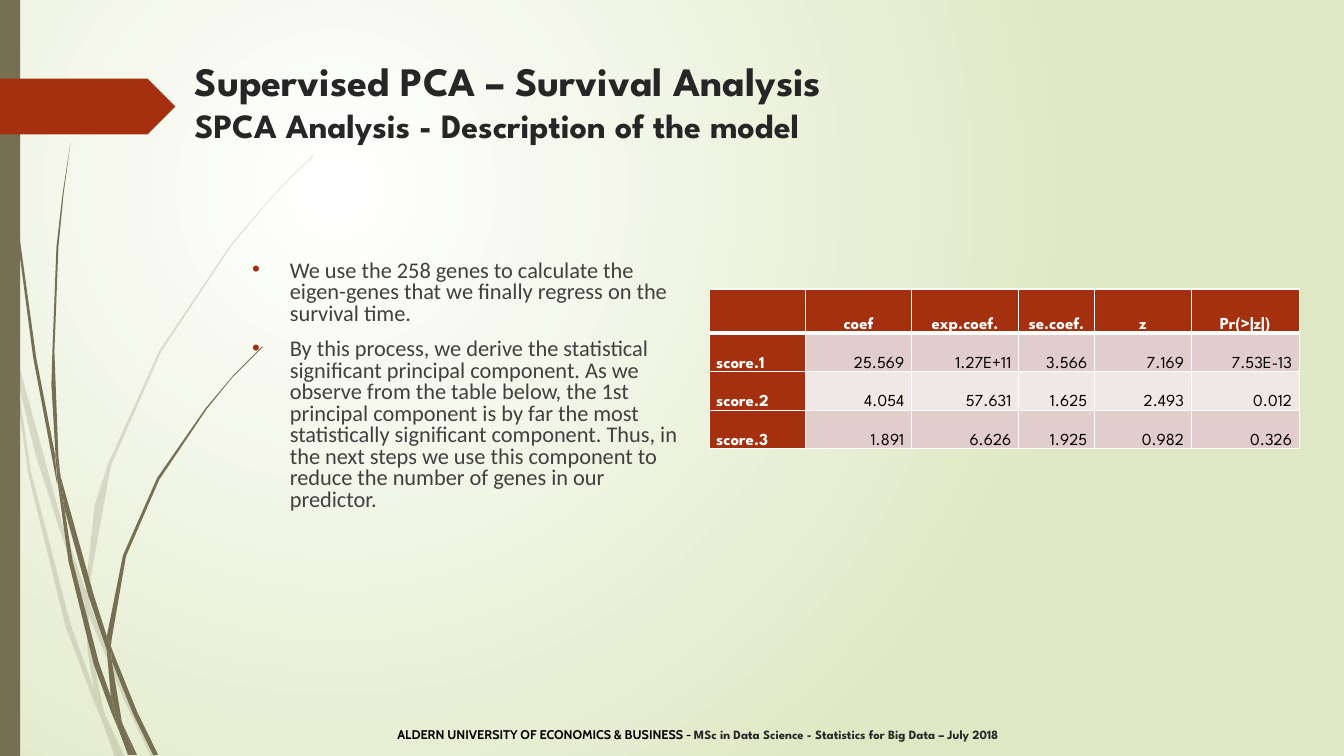
from dataclasses import dataclass

from lxml.etree import SubElement
from pptx import Presentation
from pptx.dml.color import RGBColor
from pptx.enum.shapes import MSO_SHAPE
from pptx.enum.text import MSO_ANCHOR, MSO_AUTO_SIZE, PP_ALIGN
from pptx.oxml.ns import qn
from pptx.util import Cm, Pt


@dataclass(frozen=True)
class Theme:
    olive: str = "766F54"
    rust: str = "A53010"
    white: str = "FFFFFF"
    lime: str = "DFE8C4"
    heading: str = "262626"
    body: str = "404040"
    black: str = "000000"
    bands: tuple = ("E1CDCC", "F0E8E7")
    display: str = "League Spartan"
    text: str = "Calibri"
    institution: str = "Cabin"
    title_size: float = 28.8
    subtitle_size: float = 24.3
    body_size: float = 16
    table_size: float = 12
    footer_size: float = 9


def assign(target, values):
    for name, value in values.items():
        setattr(target, name, value)


def place(left, top, width, height):
    return dict(left=Cm(left), top=Cm(top), width=Cm(width), height=Cm(height))


class SlideWriter:
    def __init__(self, slide, theme):
        self.slide = slide
        self.theme = theme

    def background(self):
        fill = self.slide.background.fill
        fill.gradient()
        for stop, color in zip(fill.gradient_stops, (self.theme.white, self.theme.lime)):
            stop.color.rgb = RGBColor.from_string(color)
        gradient = self.slide.element.find(".//" + qn("a:gradFill"))
        gradient.remove(gradient.find(qn("a:lin")))
        circle = SubElement(gradient, qn("a:path"), path="circle")
        SubElement(circle, qn("a:fillToRect"), l="50000", t="50000", r="100000", b="100000")

    def paint(self, shape, color, opacity=None):
        shape.shadow.inherit = False
        shape.fill.solid()
        shape.fill.fore_color.rgb = RGBColor.from_string(color)
        shape.line.fill.background()
        if opacity:
            tint = shape.element.spPr.find(qn("a:solidFill"))[0]
            SubElement(tint, qn("a:alpha"), val=str(opacity * 1000))

    def blade(self, corners, opacity=None):
        first, *rest = corners
        outline = self.slide.shapes.build_freeform(*first, scale=Cm(2.54) / 100)
        outline.add_line_segments(rest, close=True)
        self.paint(outline.convert_to_shape(), self.theme.olive, opacity)

    def block(self, kind, box, color):
        self.paint(self.slide.shapes.add_shape(kind, *box.values()), color)

    def run(self, paragraph, text, size, font, color, bold=False):
        run = paragraph.add_run()
        run.text = text
        assign(run.font, dict(size=Pt(size), name=font, bold=bold))
        run.font.color.rgb = RGBColor.from_string(color)

    def title(self, box, lines):
        heading = self.slide.shapes.title
        assign(heading, box)
        assign(heading.text_frame, dict(
            word_wrap=True, auto_size=MSO_AUTO_SIZE.NONE, vertical_anchor=MSO_ANCHOR.MIDDLE))
        paragraph = heading.text_frame.paragraphs[0]
        paragraph.alignment = PP_ALIGN.LEFT
        for index, (text, size) in enumerate(lines):
            if index:
                paragraph.add_line_break()
            self.run(paragraph, text, size, self.theme.display, self.theme.heading, True)

    def bullets(self, box, items):
        body = self.slide.placeholders[1]
        assign(body, box)
        frame = body.text_frame
        assign(frame, dict(
            word_wrap=True, auto_size=MSO_AUTO_SIZE.NONE, vertical_anchor=MSO_ANCHOR.TOP))
        for index, item in enumerate(items):
            paragraph = frame.add_paragraph() if index else frame.paragraphs[0]
            assign(paragraph, dict(line_spacing=0.8, space_before=Pt(10)))
            self.run(paragraph, item, self.theme.body_size, self.theme.text, self.theme.body)
            properties = paragraph._p.get_or_add_pPr()
            properties.set("marL", str(Cm(0.95)))
            properties.set("indent", str(-Cm(0.95)))
            tint = SubElement(properties, qn("a:buClr"))
            SubElement(tint, qn("a:srgbClr"), val=self.theme.rust)
            SubElement(properties, qn("a:buFont"), typeface="Arial")
            SubElement(properties, qn("a:buChar"), char="•")

    def footer(self, box, parts):
        frame = self.slide.shapes.add_textbox(*box.values()).text_frame
        frame.word_wrap = True
        paragraph = frame.paragraphs[0]
        paragraph.alignment = PP_ALIGN.CENTER
        for text, font, color in parts:
            self.run(paragraph, text, self.theme.footer_size, font, color, True)

    def borders(self, cell, bottom):
        properties = cell._tc.get_or_add_tcPr()
        for side, width in dict(lnL=1, lnR=1, lnT=1, lnB=bottom).items():
            line = SubElement(properties, qn("a:" + side), w=str(Pt(width)))
            SubElement(SubElement(line, qn("a:solidFill")), qn("a:srgbClr"), val=self.theme.white)

    def table(self, box, widths, heights, rows):
        grid = self.slide.shapes.add_table(len(rows), len(widths), *box.values()).table
        grid.horz_banding = False
        for column, width in zip(grid.columns, widths):
            column.width = Cm(width)
        for row, height in zip(grid.rows, heights):
            row.height = Cm(height)
        for r, values in enumerate(rows):
            for c, value in enumerate(values):
                cell = grid.cell(r, c)
                label = r == 0 or c == 0
                assign(cell, dict(
                    vertical_anchor=MSO_ANCHOR.BOTTOM, margin_left=Cm(0.18),
                    margin_right=Cm(0.18), margin_top=0, margin_bottom=0))
                self.borders(cell, 1 if r else 3)
                cell.fill.solid()
                cell.fill.fore_color.rgb = RGBColor.from_string(
                    self.theme.rust if label else self.theme.bands[(r - 1) % 2])
                if value:
                    paragraph = cell.text_frame.paragraphs[0]
                    paragraph.alignment = (
                        PP_ALIGN.CENTER if r == 0 else PP_ALIGN.RIGHT if c else PP_ALIGN.LEFT)
                    self.run(paragraph, value, self.theme.table_size, self.theme.display,
                             self.theme.white if label else self.theme.black, label)


PALE_BLADES = [
    [(11, 350), (9, 322), (0, 282), (0, 299), (10, 344)],
    [(58, 522), (84, 599), (85, 586), (62, 520), (14, 345), (17, 376), (35, 450)],
    [(92, 607), (88, 596), (88, 610), (123, 694), (150, 751), (155, 751), (127, 692)],
    [(119, 751), (124, 751), (105, 711)],
    [(93, 683), (70, 619), (31, 469), (17, 376), (11, 350), (28, 470), (65, 621), (92, 693),
     (101, 714), (99, 707)],
    [(84, 599), (87, 646), (93, 683), (96, 692), (105, 711), (103, 706), (91, 646), (88, 610),
     (88, 608)],
    [(88, 584), (110, 462), (160, 349), (229, 245), (268, 198), (290, 175), (312, 154),
     (312, 153), (289, 175), (268, 197), (228, 244), (158, 348), (107, 461), (94, 501),
     (85, 584), (85, 586), (88, 596)],
    [(101, 714), (114, 751), (119, 751)],
    [(88, 608), (88, 596), (85, 586), (84, 599)],
    [(96, 692), (93, 683), (99, 707), (101, 714), (119, 751), (105, 711)],
]
DARK_BLADES = [
    [(7, 110), (17, 233), (33, 355), (56, 477), (57, 481), (55, 457), (55, 453), (36, 355),
     (19, 232), (8, 109), (5, 48), (4, 0), (3, 0), (4, 48)],
    [(88, 592), (106, 645), (106, 631), (93, 590), (60, 472), (64, 505)],
    [(113, 649), (110, 641), (111, 656), (132, 708), (152, 749), (157, 749), (136, 706)],
    [(110, 691), (98, 657), (72, 556), (64, 505), (57, 477), (68, 557), (93, 659), (111, 708),
     (117, 722), (116, 717)],
    [(60, 472), (58, 453), (54, 349), (58, 245), (63, 193), (70, 141), (62, 193), (56, 245),
     (52, 349), (51, 382), (55, 449)],
    [(133, 749), (136, 749), (122, 719)],
    [(57, 477), (64, 505), (60, 472), (55, 449), (55, 453)],
    [(111, 633), (125, 552), (158, 476), (205, 406), (231, 374), (261, 344), (260, 344),
     (231, 373), (204, 405), (156, 474), (122, 551), (106, 631), (110, 641)],
    [(117, 722), (127, 749), (131, 749)],
    [(106, 645), (110, 691), (116, 706), (122, 719), (121, 716), (111, 656), (109, 651)],
    [(106, 645), (109, 651), (111, 656), (110, 641), (106, 631)],
    [(116, 706), (110, 691), (116, 717), (117, 722), (130, 749), (133, 749), (122, 719)],
]

theme = Theme()
deck = Presentation()
assign(deck, dict(slide_width=Cm(33.87), slide_height=Cm(19.05)))
writer = SlideWriter(deck.slides.add_slide(deck.slide_layouts[1]), theme)
writer.background()
for corners in PALE_BLADES:
    writer.blade(corners, opacity=20)
for corners in DARK_BLADES:
    writer.blade(corners)
writer.block(MSO_SHAPE.RECTANGLE, place(0, 0, 0.51, 19.05), theme.olive)
writer.block(MSO_SHAPE.PENTAGON, place(0, 1.98, 4.42, 1.41), theme.rust)
writer.title(place(4.65, 1.23, 29.21, 2.62), [
    ("Supervised PCA – Survival Analysis", theme.title_size),
    ("SPCA Analysis - Description of the model", theme.subtitle_size),
])
writer.bullets(place(6.1, 6.45, 11.28, 7.65), [
    "We use the 258 genes to calculate the eigen-genes that we finally regress on the "
    "survival time.",
    "By this process, we derive the statistical significant principal component. As we observe "
    "from the table below, the 1st principal component is by far the most statistically "
    "significant component. Thus, in the next steps we use this component to reduce the number "
    "of genes in our predictor.",
])
writer.footer(place(4.06, 18.18, 27.05, 0.86), [
    ("ALDERN UNIVERSITY OF ECONOMICS & BUSINESS - ", theme.institution, theme.black),
    ("MSc in Data Science - Statistics for Big Data – July 2018", theme.display, theme.heading),
])
writer.table(place(17.87, 7.28, 14.88, 4.03), [2.43, 2.67, 2.7, 1.91, 2.44, 2.72],
             [1.12, 0.97, 0.97, 0.97], [
    ("", "coef", "exp.coef.", "se.coef.", "z", "Pr(>|z|)"),
    ("score.1", "25.569", "1.27E+11", "3.566", "7.169", "7.53E-13"),
    ("score.2", "4.054", "57.631", "1.625", "2.493", "0.012"),
    ("score.3", "1.891", "6.626", "1.925", "0.982", "0.326"),
])
deck.save("out.pptx")
